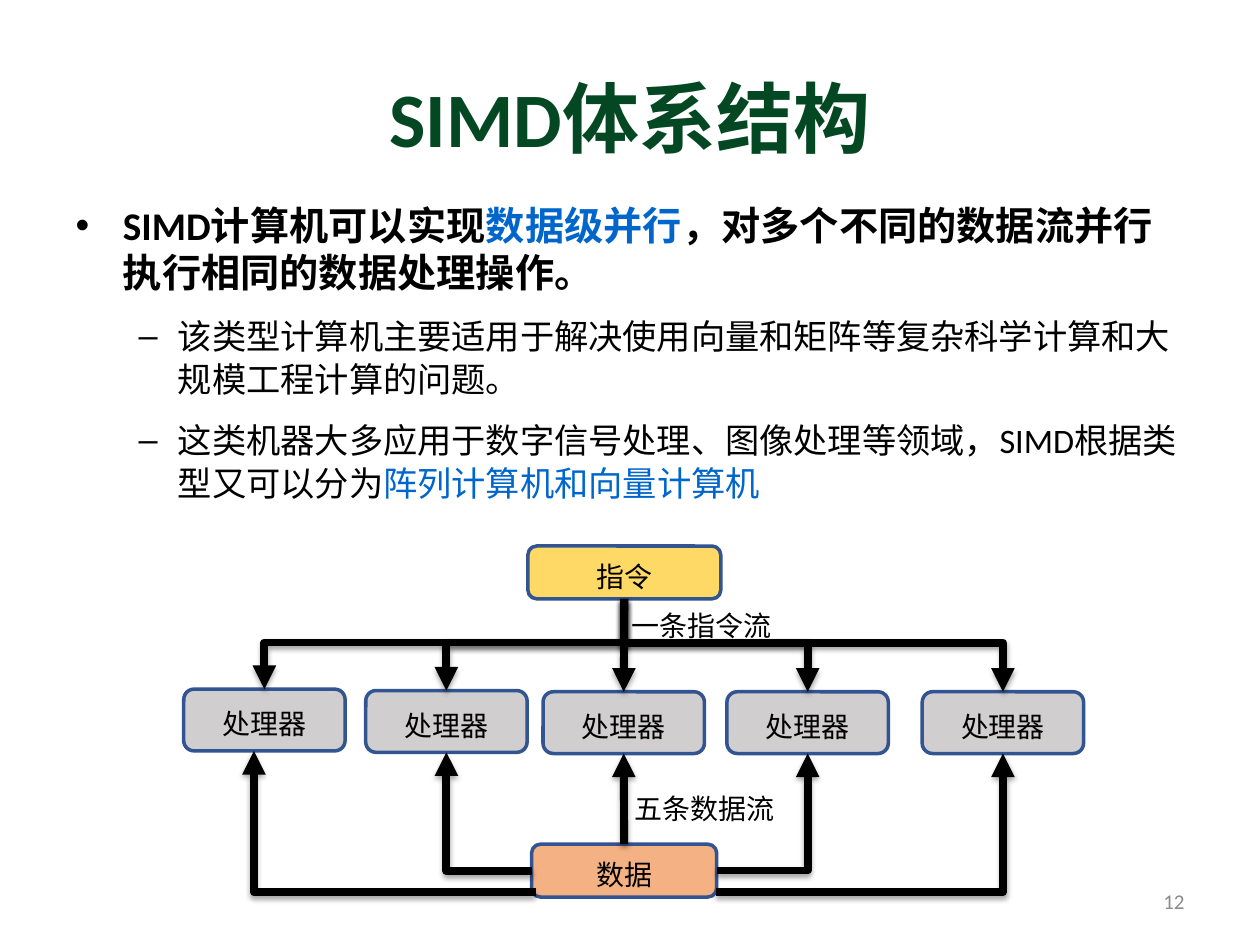
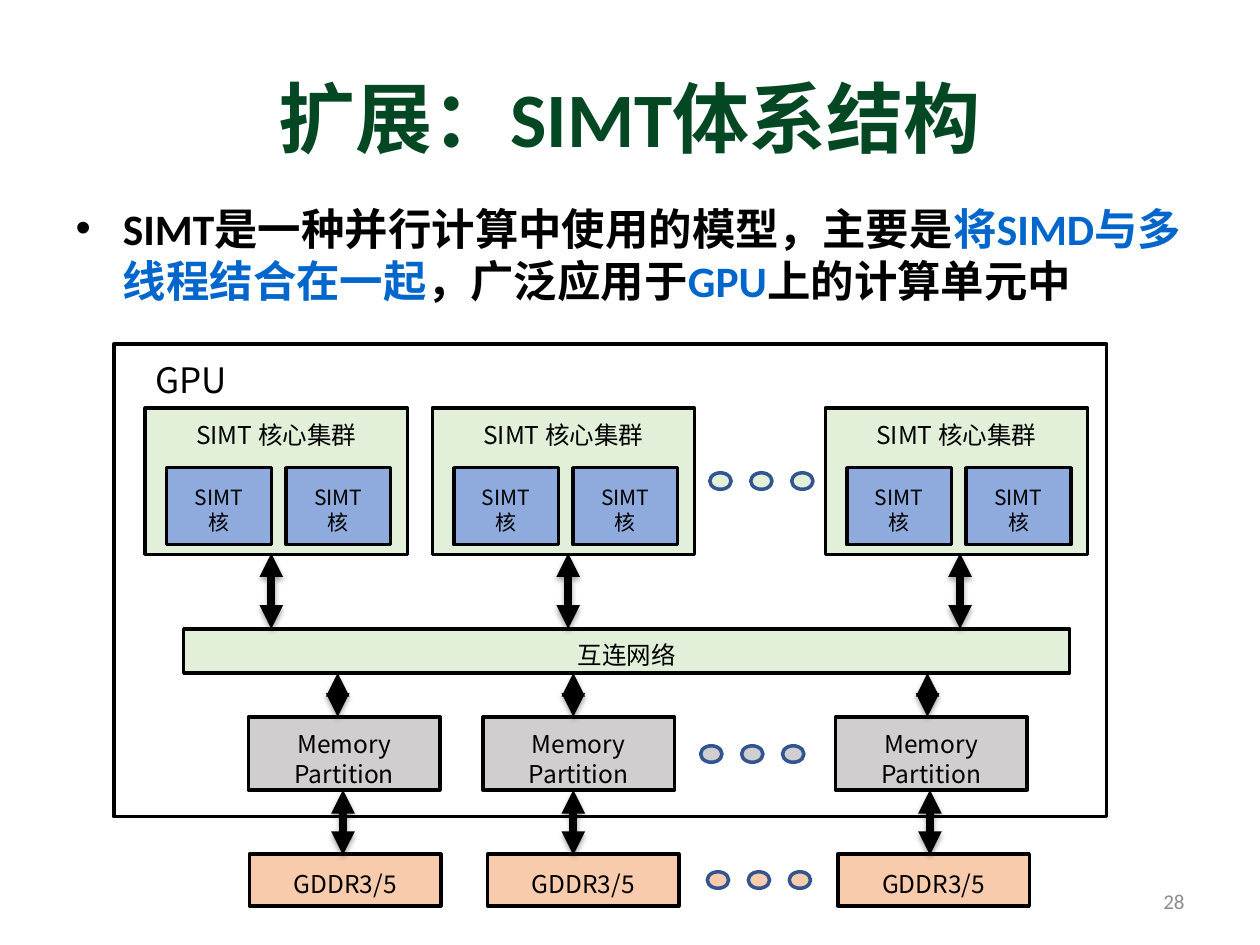
from collections import namedtuple
from dataclasses import dataclass

import lxml.etree
import pptx
import pptx.dml.color
import pptx.enum.shapes
import pptx.enum.text
import pptx.oxml.ns
import pptx.util

Pt = pptx.util.Pt
qn = pptx.oxml.ns.qn
Shape = pptx.enum.shapes.MSO_SHAPE
Connector = pptx.enum.shapes.MSO_CONNECTOR
Align = pptx.enum.text.PP_ALIGN
Anchor = pptx.enum.text.MSO_ANCHOR

Box = namedtuple("Box", "left top width height")


@dataclass(frozen=True)
class Theme:
    latin: str = "Calibri"
    diagram: str = "Noto Sans CJK SC"
    black: str = "000000"
    white: str = "FFFFFF"
    title: str = "044823"
    accent: str = "0066CC"
    page: str = "8C8C8C"
    outline: str = "325491"
    yellow: str = "FFD966"
    orange: str = "F4B183"
    gray: str = "D0CECE"
    green: str = "E2F0D9"
    blue: str = "8FAADC"
    peach: str = "F8CBAD"
    title_size: float = 44
    page_size: float = 12
    gpu_size: float = 20
    flow_size: float = 16
    block_size: float = 14
    core_size: float = 12
    border: float = 2
    arrow: float = 4.5


THEME = Theme()


def rgb(color):
    return pptx.dml.color.RGBColor.from_string(color)


def inside(box, left, top, width, height):
    """Turn a position relative to the box into one on the slide."""
    return Box(box.left + left, box.top + top, width, height)


def lengths(values):
    return [Pt(value) for value in values]


def style_paragraph(paragraph, size, color=THEME.black, name=THEME.diagram, bold=False):
    font = paragraph.font
    font.size = Pt(size)
    font.bold = bold
    font.name = name
    font.color.rgb = rgb(color)
    properties = paragraph._p.pPr.find(qn("a:defRPr"))
    lxml.etree.SubElement(properties, qn("a:ea"), typeface=THEME.diagram)


def write_text(text_frame, text, size, anchor=Anchor.MIDDLE, top_margin=0):
    text_frame.text = text
    text_frame.word_wrap = True
    text_frame.vertical_anchor = anchor
    text_frame.margin_left = text_frame.margin_right = text_frame.margin_bottom = 0
    text_frame.margin_top = Pt(top_margin)
    for paragraph in text_frame.paragraphs:
        paragraph.alignment = Align.CENTER
        style_paragraph(paragraph, size)


def add_label(slide, box, text, size):
    write_text(slide.shapes.add_textbox(*lengths(box)).text_frame, text, size)


def add_block(slide, box, fill, text="", size=THEME.block_size, kind=Shape.RECTANGLE,
              line=THEME.black, anchor=Anchor.MIDDLE, top_margin=4):
    shape = slide.shapes.add_shape(kind, *lengths(box))
    shape.shadow.inherit = False
    shape.fill.solid()
    shape.fill.fore_color.rgb = rgb(fill)
    shape.line.color.rgb = rgb(line)
    shape.line.width = Pt(THEME.border)
    if text:
        write_text(shape.text_frame, text, size, anchor, top_margin)
    return shape


def style_arrow(connector, ends):
    connector.line.color.rgb = rgb(THEME.black)
    connector.line.width = Pt(THEME.arrow)
    properties = connector._element.spPr
    line = properties.find(qn("a:ln"))
    for end in ends:
        lxml.etree.SubElement(line, qn(f"a:{end}"), type="triangle")
    effects = lxml.etree.SubElement(properties, qn("a:effectLst"))
    shadow = lxml.etree.SubElement(
        effects, qn("a:outerShdw"), blurRad=str(Pt(3.1)), dist=str(Pt(1.8)),
        dir="5400000", rotWithShape="0")
    color = lxml.etree.SubElement(shadow, qn("a:srgbClr"), val=THEME.black)
    lxml.etree.SubElement(color, qn("a:alpha"), val="35000")


def add_double_arrow(slide, x, top, bottom):
    connector = slide.shapes.add_connector(
        Connector.STRAIGHT, *lengths((x, bottom, x, top)))
    style_arrow(connector, ("headEnd", "tailEnd"))


def join_blocks(slide, upper, lower, upward=False):
    """Draw an arrow between facing sides of two blocks."""
    begin, end = ((lower, 0), (upper, 2)) if upward else ((upper, 2), (lower, 0))
    connector = slide.shapes.add_connector(Connector.STRAIGHT, 0, 0, 0, 0)
    connector.begin_connect(*begin)
    connector.end_connect(*end)
    style_arrow(connector, ("tailEnd",))


def add_elbow(slide, begin, end, rotation, preset, adjust=None):
    """Draw a bent arrow; begin and end are given before rotation."""
    connector = slide.shapes.add_connector(Connector.ELBOW, *lengths(begin + end))
    properties = connector._element.spPr
    if rotation:
        properties.find(qn("a:xfrm")).set("rot", str(rotation * 60000))
    geometry = properties.find(qn("a:prstGeom"))
    geometry.set("prst", preset)
    if adjust is not None:
        lxml.etree.SubElement(geometry.find(qn("a:avLst")), qn("a:gd"), name="adj1",
                              fmla=f"val {round(adjust * 100000)}")
    style_arrow(connector, ("tailEnd",))


def drop_elbow(slide, start, target, bus_y):
    """Go down to the bus, along it, and down to the target."""
    middle_x, middle_y = (start[0] + target[0]) / 2, (start[1] + target[1]) / 2
    drop = target[1] - start[1]
    half_height = abs(target[0] - start[0]) / 2
    to_left = target[0] < start[0]
    half_width = drop / 2 if to_left else -drop / 2
    add_elbow(slide, (middle_x - half_width, middle_y - half_height),
              (middle_x + half_width, middle_y + half_height),
              90 if to_left else 270, "bentConnector3", (bus_y - start[1]) / drop)


def rise_elbow(slide, start, target):
    """Go sideways, then up to the target."""
    if target[0] < start[0]:
        add_elbow(slide, target, start, 180, "bentConnector2")
    else:
        add_elbow(slide, start, target, 0, "bentConnector2")


def add_content_slide(presentation, title, body_height, points, page):
    """Points are (level, size, runs), with runs of (text, colour)."""
    slide = presentation.slides.add_slide(presentation.slide_layouts[1])
    heading, body = slide.placeholders
    for placeholder, box in ((heading, Box(36, 21.6, 648, 90)),
                             (body, Box(36, 111.6, 648, body_height))):
        placeholder.left, placeholder.top, placeholder.width, placeholder.height = lengths(box)
        placeholder.text_frame.auto_size = pptx.enum.text.MSO_AUTO_SIZE.NONE
    heading.text_frame.text = title
    style_paragraph(heading.text_frame.paragraphs[0], THEME.title_size, THEME.title,
                    THEME.latin, True)
    for index, (level, size, runs) in enumerate(points):
        frame = body.text_frame
        paragraph = frame.add_paragraph() if index else frame.paragraphs[0]
        paragraph.level = level
        paragraph.space_after = Pt(6)
        if level:
            paragraph.line_spacing = 1.05
        style_paragraph(paragraph, size, name=THEME.latin, bold=level == 0)
        for text, color in runs:
            run = paragraph.add_run()
            run.text = text
            run.font.color.rgb = rgb(color)
    add_page_number(slide, page)
    return slide


def add_page_number(slide, page):
    frame = slide.shapes.add_textbox(*lengths((516, 500.5, 168, 28.75))).text_frame
    frame.text = page
    frame.word_wrap = True
    frame.vertical_anchor = Anchor.MIDDLE
    frame.paragraphs[0].alignment = Align.RIGHT
    style_paragraph(frame.paragraphs[0], THEME.page_size, THEME.page, THEME.latin)


def draw_simd_diagram(slide, box):
    def node(left, top, width, height, fill, text):
        return add_block(slide, inside(box, left, top, width, height), fill, text,
                         THEME.flow_size, Shape.ROUNDED_RECTANGLE, THEME.outline)

    processor_width, processor_height = 92.2, 35.3
    positions = ((0, 81.8), (104, 82.6), (205.3, 83.3), (310.4, 83.3), (422, 83.3))
    instruction = node(196.7, 0, 110.2, 30.2, THEME.yellow, "指令")
    data = node(198.8, 170.4, 105.8, 30.2, THEME.orange, "数据")
    processors = [node(left, top, processor_width, processor_height, THEME.gray, "处理器")
                  for left, top in positions]
    add_label(slide, inside(box, 248.5, 30.7, 95, 29.5), "一条指令流", THEME.flow_size)
    add_label(slide, inside(box, 250, 135, 95, 29.5), "五条数据流", THEME.flow_size)

    join_blocks(slide, instruction, processors[2])
    join_blocks(slide, processors[2], data, upward=True)
    source = (box.left + 251.6, box.top + 30.2)
    data_exits = ((201, 197.8), (198.8, 185.5), None, (304.6, 185.5), (304, 197.8))
    entry_shifts = (-6, 0, 0, 0, 0)
    for (left, top), data_exit, shift in zip(positions, data_exits, entry_shifts):
        if data_exit is None:
            continue
        x, y = box.left + left + processor_width / 2, box.top + top
        drop_elbow(slide, source, (x, y), box.top + 55.2)
        rise_elbow(slide, (box.left + data_exit[0], box.top + data_exit[1]),
                   (x + shift, y + processor_height))


def draw_cluster(slide, box):
    add_block(slide, box, THEME.green, "SIMT 核心集群", anchor=Anchor.TOP, top_margin=7)
    for left in (12.3, 80.5):
        add_block(slide, inside(box, left, 34, 59.8, 44), THEME.blue, "SIMT\n核",
                  THEME.core_size)


def draw_dots(slide, left, top, fill):
    for index in range(3):
        add_block(slide, Box(left + index * 23.4, top, 12.2, 9.4), fill,
                  kind=Shape.OVAL, line=THEME.outline)


def draw_gpu_diagram(slide, box):
    add_block(slide, box, THEME.white)
    add_label(slide, inside(box, 15.6, 4.3, 57, 31.7), "GPU", THEME.gpu_size)
    for left in (18, 182, 406.6):
        draw_cluster(slide, inside(box, left, 36.7, 149.8, 83.5))
    add_block(slide, inside(box, 40, 162.7, 506.2, 25.2), THEME.green, "互连网络")
    for left in (77, 211, 412.5):
        add_block(slide, inside(box, left, 213, 109.4, 41.8), THEME.gray,
                  "Memory\nPartition", top_margin=6)
    for left in (77.6, 213.6, 413.8):
        add_block(slide, inside(box, left, 291.5, 109.4, 29.5), THEME.peach, "GDDR3/5")
    for left, top, fill in ((340.6, 73.6, THEME.green), (335.4, 229.6, THEME.gray),
                            (339.2, 301.6, THEME.peach)):
        draw_dots(slide, box.left + left, box.top + top, fill)
    for top, bottom, centers in ((119.6, 162.7, (90, 259.7, 483.6)),
                                 (188, 213, (128, 262.6, 465)),
                                 (254.8, 292, (131, 262.6, 466.4))):
        for x in centers:
            add_double_arrow(slide, box.left + x, box.top + top, box.top + bottom)


def main():
    presentation = pptx.Presentation()
    presentation.slide_width, presentation.slide_height = Pt(720), Pt(540)

    simd = add_content_slide(presentation, "SIMD体系结构", 198, [
        (0, 22.4, [("SIMD计算机可以实现", THEME.black), ("数据级并行", THEME.accent),
                   ("，对多个不同的数据流并行执行相同的数据处理操作。", THEME.black)]),
        (1, 19.6, [("该类型计算机主要适用于解决使用向量和矩阵等复杂科学计算和大规模工程计算的问题。",
                    THEME.black)]),
        (1, 19.6, [("这类机器大多应用于数字信号处理、图像处理等领域，SIMD根据类型又可以分为",
                    THEME.black), ("阵列计算机和向量计算机", THEME.accent)]),
    ], "12")
    draw_simd_diagram(simd, Box(105, 312, 514, 201))

    simt = add_content_slide(presentation, "扩展：SIMT体系结构", 107.3, [
        (0, 24.8, [("SIMT是一种并行计算中使用的模型，主要是", THEME.black),
                   ("将SIMD与多线程结合在一起", THEME.accent), ("，广泛应用于", THEME.black),
                   ("GPU", THEME.accent), ("上的计算单元中", THEME.black)]),
    ], "28")
    draw_gpu_diagram(simt, Box(65, 196.6, 567.4, 270))

    presentation.save("out.pptx")


if __name__ == "__main__":
    main()
